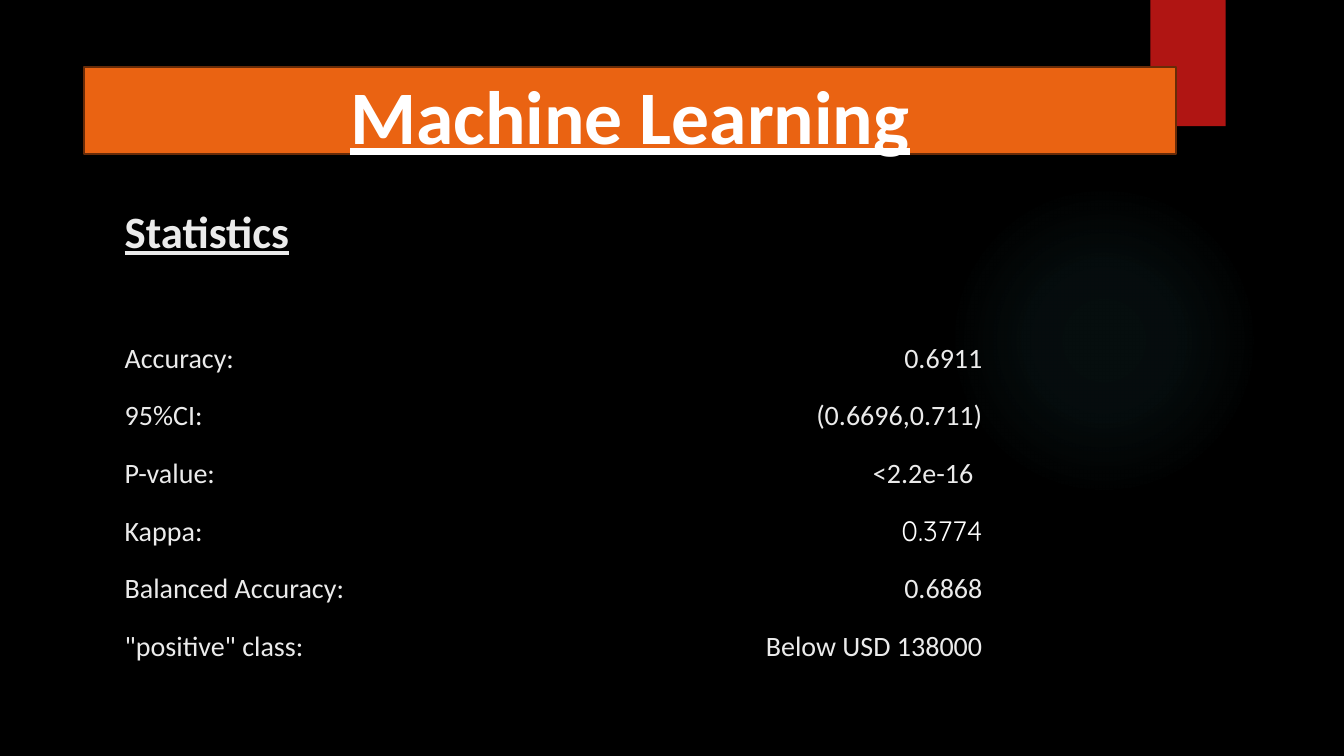
from dataclasses import dataclass

from pptx import Presentation
from pptx.dml.color import RGBColor
from pptx.enum.shapes import MSO_SHAPE
from pptx.enum.text import MSO_ANCHOR, MSO_AUTO_SIZE, PP_ALIGN
from pptx.oxml import parse_xml
from pptx.oxml.ns import nsdecls, qn
from pptx.util import Inches, Pt

RECTANGLE, ELLIPSE = MSO_SHAPE.RECTANGLE, MSO_SHAPE.OVAL
MIDDLE, BOTTOM = MSO_ANCHOR.MIDDLE, MSO_ANCHOR.BOTTOM
LEFT, CENTER, RIGHT = PP_ALIGN.LEFT, PP_ALIGN.CENTER, PP_ALIGN.RIGHT
NO_AUTOFIT = MSO_AUTO_SIZE.NONE
TITLE_ONLY = 5
PLAIN_TABLE = "{2D5ABB26-0587-4C30-8999-92F81FD0307C}"


@dataclass(frozen=True)
class Theme:
    background: str = "000000"
    glow: str = "50B9C1"
    ribbon: str = "B01513"
    banner: str = "EA6312"
    banner_edge: str = "672B08"
    white: str = "FFFFFF"
    text: str = "EBEBEB"
    font: str = "Calibri"
    accent_font: str = "Quicksand"
    title_size: int = 54
    heading_size: int = 32
    body_size: int = 20


@dataclass(frozen=True)
class Box:
    left: float
    top: float
    width: float
    height: float

    def inches(self):
        return [Inches(v) for v in (self.left, self.top, self.width, self.height)]


@dataclass(frozen=True)
class Statistic:
    label: str
    value: str
    spans: bool = False
    indent: float = 0
    accent: bool = False


THEME = Theme()
PAGE = Box(0, 0, 13.33, 7.5)
COLUMN_SHARES = (0.497, 0.356, 0.147)
CELL_INSET = 0.01
FIRST_STATISTIC_ROW = 2
GLOW_STOPS = ((0, 7), (36, 6), (69, 0))
STATISTICS = (
    Statistic("Accuracy:", "0.6911"),
    Statistic("95%CI:", "(0.6696,0.711)", spans=True),
    Statistic("P-value:", "<2.2e-16", indent=0.09),
    Statistic("Kappa:", "0.3774", accent=True),
    Statistic("Balanced Accuracy:", "0.6868"),
    Statistic('"positive" class:', "Below USD 138000", spans=True),
)


def color(value):
    return RGBColor.from_string(value)


def add_span(para, text, size, tint, font=THEME.font, strong=False):
    span = para.add_run()
    span.text = text
    span.font.name = font
    span.font.size = Pt(size)
    span.font.color.rgb = color(tint)
    span.font.bold = strong
    span.font.underline = strong


def add_plain_shape(page, kind, box):
    shape = page.shapes.add_shape(kind, *box.inches())
    shape.shadow.inherit = False
    shape.line.fill.background()
    return shape


def add_glow(page, box):
    glow = add_plain_shape(page, ELLIPSE, box)
    glow.fill.background()
    stops = "".join(
        f'<a:gs pos="{position * 1000}"><a:srgbClr val="{THEME.glow}">'
        f'<a:alpha val="{opacity * 1000}"/></a:srgbClr></a:gs>'
        for position, opacity in GLOW_STOPS
    )
    gradient = parse_xml(
        f'<a:gradFill {nsdecls("a")} rotWithShape="1"><a:gsLst>{stops}</a:gsLst>'
        '<a:path path="circle"><a:fillToRect l="50000" t="50000" r="50000" b="50000"/>'
        "</a:path></a:gradFill>"
    )
    properties = glow._element.spPr
    properties.replace(properties.find(qn("a:noFill")), gradient)


def add_ribbon(page, box):
    ribbon = add_plain_shape(page, RECTANGLE, box)
    ribbon.fill.solid()
    ribbon.fill.fore_color.rgb = color(THEME.ribbon)


def add_banner(page, box, text):
    banner = page.shapes.title
    banner.left, banner.top, banner.width, banner.height = box.inches()
    banner.fill.solid()
    banner.fill.fore_color.rgb = color(THEME.banner)
    banner.line.color.rgb = color(THEME.banner_edge)
    banner.line.width = Pt(1.5)
    frame = banner.text_frame
    frame.auto_size = NO_AUTOFIT
    frame.word_wrap = True
    frame.vertical_anchor = MIDDLE
    para = frame.paragraphs[0]
    para.alignment = CENTER
    para.line_spacing = 1.07
    para.space_after = Pt(8)
    add_span(para, text, THEME.title_size, THEME.white, strong=True)
    page.shapes._spTree.append(banner._element)


def prepare_cell(cell):
    cell.fill.background()
    cell.vertical_anchor = BOTTOM
    cell.margin_left = cell.margin_right = cell.margin_top = Inches(CELL_INSET)
    cell.margin_bottom = 0


def fill_cell(cell, text, size, alignment=LEFT, **style):
    para = cell.text_frame.paragraphs[0]
    para.alignment = alignment
    add_span(para, text, size, **style)


def add_statistics(page, box):
    row_count = FIRST_STATISTIC_ROW + len(STATISTICS)
    frame = page.shapes.add_table(row_count, len(COLUMN_SHARES), *box.inches())
    table = frame.table
    table.first_row = table.horz_banding = False
    frame._element.find(".//" + qn("a:tableStyleId")).text = PLAIN_TABLE
    for column, share in zip(table.columns, COLUMN_SHARES):
        column.width = Inches(box.width * share)
    for row in table.rows:
        row.height = Inches(box.height / row_count)
    for cell in table.iter_cells():
        prepare_cell(cell)
    fill_cell(table.cell(0, 0), "Statistics", THEME.heading_size, tint=THEME.text, strong=True)
    for row, statistic in enumerate(STATISTICS, FIRST_STATISTIC_ROW):
        fill_cell(table.cell(row, 0), statistic.label, THEME.body_size, tint=THEME.text)
        value = table.cell(row, 1)
        margin = CELL_INSET + statistic.indent
        if statistic.spans:
            value.merge(table.cell(row, 2))
            margin += box.width * COLUMN_SHARES[2]
        value.margin_right = Inches(margin)
        tint = THEME.white if statistic.accent else THEME.text
        font = THEME.accent_font if statistic.accent else THEME.font
        fill_cell(value, statistic.value, THEME.body_size, RIGHT, tint=tint, font=font)


def build_statistics_page(deck, box):
    page = deck.slides.add_slide(deck.slide_layouts[TITLE_ONLY])
    page.background.fill.solid()
    page.background.fill.fore_color.rgb = color(THEME.background)

    def area(left, top, width, height):
        return Box(box.left + left * box.width, box.top + top * box.height,
                   width * box.width, height * box.height)

    add_glow(page, area(0.706, 0.244, 0.231, 0.411))
    add_ribbon(page, area(0.856, 0, 0.056, 0.167))
    add_statistics(page, area(0.092, 0.269, 0.75, 0.609))
    add_banner(page, area(0.0625, 0.089, 0.8125, 0.115), "Machine Learning")


def main():
    deck = Presentation()
    deck.slide_width, deck.slide_height = Inches(PAGE.width), Inches(PAGE.height)
    build_statistics_page(deck, PAGE)
    deck.save("out.pptx")


if __name__ == "__main__":
    main()
